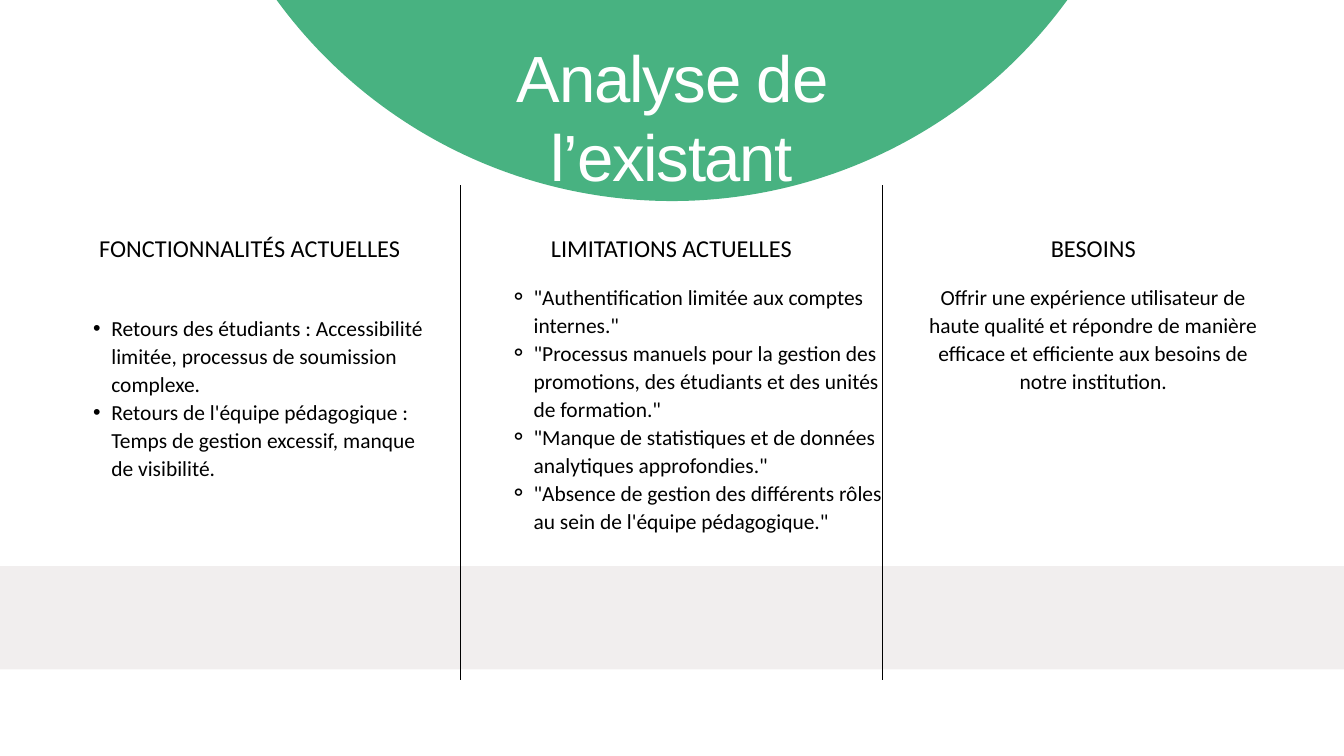
from lxml.etree import SubElement
from pptx import Presentation
from pptx.dml.color import RGBColor
from pptx.enum.shapes import MSO_CONNECTOR as Connector, MSO_SHAPE as Shape
from pptx.enum.text import PP_ALIGN as Align
from pptx.oxml.ns import qn
from pptx.util import Cm, Pt

COLORS = {"green": "48B281", "band": "F1EEEE", "text": "000000", "title": "FFFFFF"}
SLIDE_W, SLIDE_H = 50.8, 28.58
CIRCLE_SIZE, CIRCLE_BOTTOM = 36.98, 7.6
HEADING_TOP = 8.74
DIVIDERS = (17.4, 33.36)
DIVIDER_TOP, DIVIDER_BOTTOM = 6.99, 25.7

TITLE = "Analyse de l’existant"
# Bullet styles: character, level, left margin and hanging indent in cm
DOT = ("•", 1, 1.37, 0.69)
RING = ("⚬", 2, 2.77, 0.91)
COLUMNS = [
    {
        "heading": "FONCTIONNALITÉS ACTUELLES",
        "left": 2.84, "width": 13.21, "top": 11.84, "height": 10.26, "bullet": DOT,
        "body": [
            "Retours des étudiants : Accessibilité limitée, processus de soumission complexe.",
            "Retours de l'équipe pédagogique : Temps de gestion excessif, manque de visibilité.",
        ],
    },
    {
        "heading": "LIMITATIONS ACTUELLES",
        "left": DIVIDERS[0], "width": DIVIDERS[1] - DIVIDERS[0],
        "top": 10.67, "height": 13.36, "bullet": RING,
        "body": [
            "\"Authentification limitée aux comptes internes.\"",
            "\"Processus manuels pour la gestion des promotions, des étudiants et des unités de formation.\"",
            "\"Manque de statistiques et de données analytiques approfondies.\"",
            "\"Absence de gestion des différents rôles au sein de l'équipe pédagogique.\"",
        ],
    },
    {
        "heading": "BESOINS",
        "left": 34.72, "width": 13.21, "top": 10.67, "height": 4.06, "bullet": None,
        "body": [
            "Offrir une expérience utilisateur de haute qualité et répondre de manière "
            "efficace et efficiente aux besoins de notre institution.",
        ],
    },
]


def color(name):
    return RGBColor.from_string(COLORS[name])


def add_filled(page, kind, left, top, width, height, fill):
    shape = page.shapes.add_shape(kind, Cm(left), Cm(top), Cm(width), Cm(height))
    shape.shadow.inherit = False
    shape.fill.solid()
    shape.fill.fore_color.rgb = color(fill)
    shape.line.fill.background()


def add_divider(page, x):
    line = page.shapes.add_connector(
        Connector.STRAIGHT, Cm(x), Cm(DIVIDER_BOTTOM), Cm(x), Cm(DIVIDER_TOP))
    line.line.color.rgb = color("text")
    line.line.width = Pt(0.75)
    SubElement(line._element.spPr, qn("a:effectLst"))


def set_bullet(para, bullet):
    character, para.level, margin, hanging = bullet
    props = para._p.get_or_add_pPr()
    props.set("marL", str(Cm(margin)))
    props.set("indent", str(-Cm(hanging)))
    SubElement(props, qn("a:buFont")).set("typeface", "Arial")
    SubElement(props, qn("a:buChar")).set("char", character)


def add_text(page, area, lines, size, leading, font="Calibri", ink="text", bullet=None):
    """Write one paragraph per line, centred unless bulleted."""
    box = page.shapes.add_textbox(*(Cm(length) for length in area))
    frame = box.text_frame
    frame.word_wrap = True
    frame.margin_left = frame.margin_top = frame.margin_right = frame.margin_bottom = 0
    for index, line in enumerate(lines):
        para = frame.add_paragraph() if index else frame.paragraphs[0]
        para.text = line
        para.line_spacing = Pt(leading)
        if bullet:
            set_bullet(para, bullet)
        else:
            para.alignment = Align.CENTER
        para.font.size = Pt(size)
        para.font.name = font
        para.font.color.rgb = color(ink)
    return box


deck = Presentation()
deck.slide_width, deck.slide_height = Cm(SLIDE_W), Cm(SLIDE_H)
page = deck.slides.add_slide(deck.slide_layouts[6])

add_filled(page, Shape.OVAL, (SLIDE_W - CIRCLE_SIZE) / 2, CIRCLE_BOTTOM - CIRCLE_SIZE,
           CIRCLE_SIZE, CIRCLE_SIZE, "green")
add_filled(page, Shape.RECTANGLE, 0, 21.4, SLIDE_W, 3.91, "band")
for x in DIVIDERS:
    add_divider(page, x)

title = add_text(page, (14.97, 1.42, 20.86, 2.92), [TITLE], 70, 84, "Arial", "title")
title_span = title.text_frame.paragraphs[0].runs[0]
title_span._r.get_or_add_rPr().set("spc", "-140")

for column in COLUMNS:
    left, width = column["left"], column["width"]
    add_text(page, (left, column["top"], width, column["height"]),
             column["body"], 23, 29.9, bullet=column["bullet"])
    add_text(page, (left, HEADING_TOP, width, 1.12), [column["heading"]], 26, 33.8)

deck.save("out.pptx")
